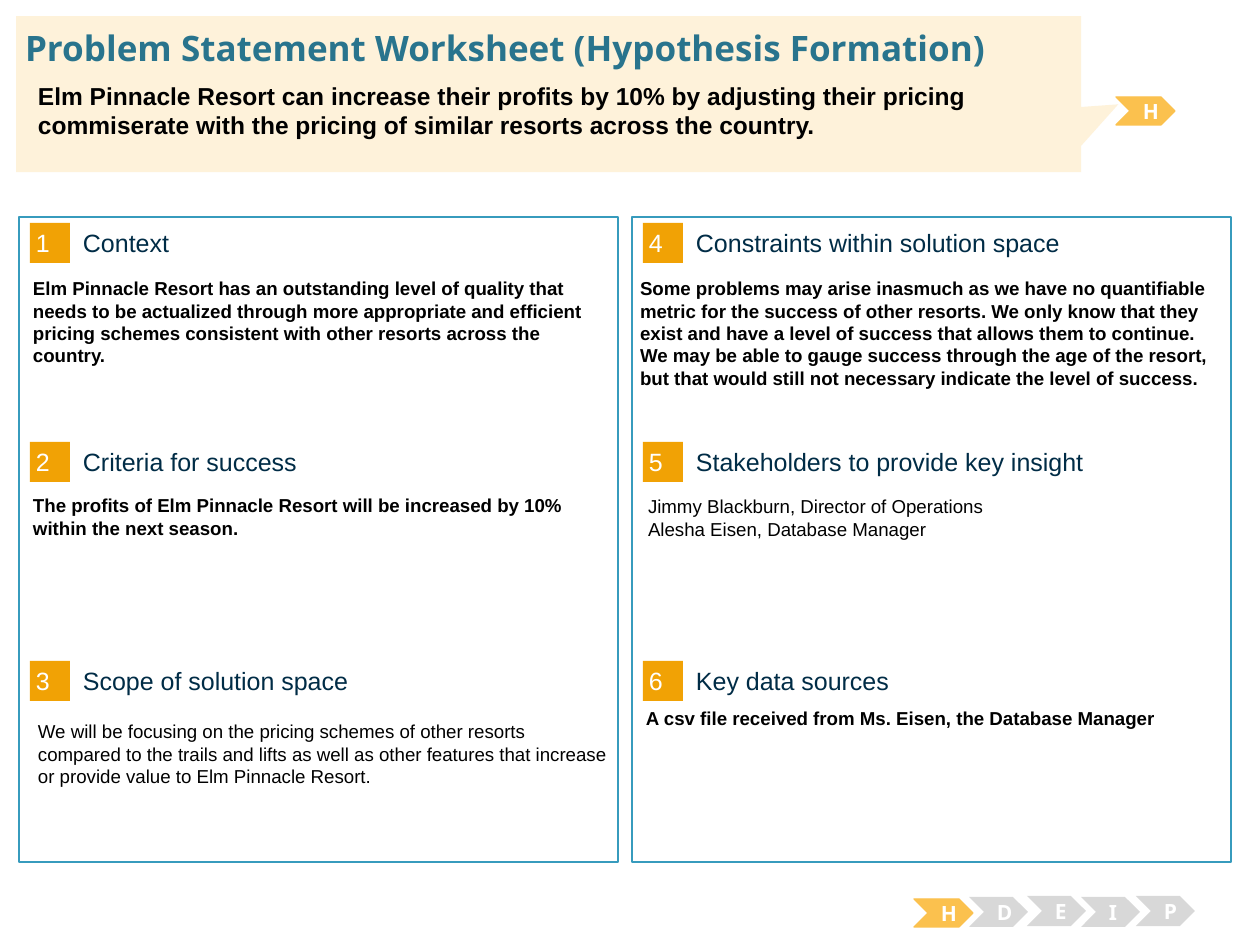
from dataclasses import dataclass
from typing import Any, Optional

from pptx import Presentation
from pptx.dml.color import RGBColor
from pptx.enum.shapes import MSO_SHAPE
from pptx.enum.text import MSO_ANCHOR, MSO_AUTO_SIZE, PP_ALIGN
from pptx.util import Emu, Pt

EMU_PER_PIXEL = 914400 / 126


@dataclass(frozen=True)
class Theme:
    """Colours, fonts and type sizes of the worksheet."""
    panel_line: str = "379BBD"
    badge: str = "F1A205"
    heading: str = "002C46"
    title: str = "29748D"
    banner: str = "FEF2DA"
    active: str = "FBC14E"
    inactive: str = "D8D8D8"
    white: str = "FFFFFF"
    black: str = "000000"
    body_font: str = "Arial"
    display_font: str = "Noto Sans"
    title_size: float = 20
    statement_size: float = 14
    heading_size: float = 14.3
    body_size: float = 10.7
    step_size: float = 12


THEME = Theme()


@dataclass(frozen=True)
class Box:
    """A rectangle in pixels."""
    left: int
    top: int
    width: int
    height: int

    def lengths(self) -> list[Emu]:
        """Return the four lengths in EMU."""
        pixels = (self.left, self.top, self.width, self.height)
        return [Emu(round(pixel * EMU_PER_PIXEL)) for pixel in pixels]


@dataclass(frozen=True)
class TextStyle:
    """How a block of text looks; insets are in pixels."""
    size: float
    color: str
    font: str = THEME.body_font
    bold: bool = False
    insets: tuple[int, int] = (13, 6)
    anchor: MSO_ANCHOR = MSO_ANCHOR.TOP
    align: PP_ALIGN = PP_ALIGN.LEFT


@dataclass(frozen=True)
class Section:
    """One numbered section and the place of its answer."""
    heading: str
    answer: str
    box: Box
    bold: bool = True


@dataclass(frozen=True)
class Step:
    """One chevron of the process tracker."""
    letter: str
    left: int
    top: int
    active: bool = False


MIDDLE = MSO_ANCHOR.MIDDLE
TITLE = TextStyle(THEME.title_size, THEME.title, THEME.display_font, True, (0, 0), MIDDLE)
STATEMENT = TextStyle(THEME.statement_size, THEME.black, bold=True)
BADGE = TextStyle(THEME.heading_size, THEME.white, insets=(6, 6), anchor=MIDDLE)
HEADING = TextStyle(THEME.heading_size, THEME.heading, insets=(0, 0), anchor=MIDDLE)
STEP = TextStyle(THEME.step_size, THEME.white, THEME.display_font, True,
                 anchor=MIDDLE, align=PP_ALIGN.CENTER)

RESORT = "Elm Pinnacle Resort"
COLUMN_PITCH, ROW_PITCH, ROWS = 613, 219, 3
SECTIONS = [
    Section("Context",
            f"{RESORT} has an outstanding level of quality that needs to be "
            "actualized through more appropriate and efficient pricing schemes consistent "
            "with other resorts across the country.", Box(20, 271, 596, 171)),
    Section("Criteria for success",
            f"The profits of {RESORT} will be increased by 10% within the next "
            "season.", Box(20, 488, 596, 194)),
    Section("Scope of solution space",
            "We will be focusing on the pricing schemes of other resorts compared to the "
            "trails and lifts as well as other features that increase or provide value to "
            f"{RESORT}.", Box(25, 714, 596, 103), bold=False),
    Section("Constraints within solution space",
            "Some problems may arise inasmuch as we have no quantifiable metric for the "
            "success of other resorts. We only know that they exist and have a level of "
            "success that allows them to continue. We may be able to gauge success through "
            "the age of the resort, but that would still not necessary indicate the level "
            "of success.", Box(627, 271, 596, 149)),
    Section("Stakeholders to provide key insight",
            "Jimmy Blackburn, Director of Operations\nAlesha Eisen, Database Manager",
            Box(635, 489, 596, 149), bold=False),
    Section("Key data sources",
            "A csv file received from Ms. Eisen, the Database Manager",
            Box(633, 701, 596, 149)),
]
STEPS = [Step("H", 914, 899, True), Step("D", 969, 897), Step("E", 1027, 896),
         Step("I", 1081, 897), Step("P", 1136, 896), Step("H", 1116, 97, True)]


def set_values(target: Any, values: dict[str, Any]) -> None:
    """Set each named attribute on the target."""
    for name, value in values.items():
        setattr(target, name, value)


def write_text(shape: Any, text: str, style: TextStyle) -> None:
    """Fill a shape with text, one paragraph a line."""
    frame = shape.text_frame
    horizontal, vertical = (Emu(round(inset * EMU_PER_PIXEL)) for inset in style.insets)
    frame.text = text
    set_values(frame, {
        "word_wrap": True, "auto_size": MSO_AUTO_SIZE.NONE,
        "vertical_anchor": style.anchor,
        "margin_left": horizontal, "margin_right": horizontal,
        "margin_top": vertical, "margin_bottom": vertical})
    for paragraph in frame.paragraphs:
        paragraph.alignment = style.align
        for run in paragraph.runs:
            set_values(run.font, {"name": style.font, "size": Pt(style.size),
                                  "bold": style.bold})
            run.font.color.rgb = RGBColor.from_string(style.color)


def add_text(slide: Any, box: Box, text: str, style: TextStyle) -> None:
    """Add a text box."""
    write_text(slide.shapes.add_textbox(*box.lengths()), text, style)


def add_block(slide: Any, kind: MSO_SHAPE, box: Box, fill: str,
              line: Optional[str] = None, line_width: float = 0.75) -> Any:
    """Add a flat preset shape."""
    shape = slide.shapes.add_shape(kind, *box.lengths())
    shape.shadow.inherit = False
    shape.fill.solid()
    shape.fill.fore_color.rgb = RGBColor.from_string(fill)
    if line:
        shape.line.color.rgb = RGBColor.from_string(line)
        shape.line.width = Pt(line_width)
    else:
        shape.line.fill.background()
    return shape


def add_section(slide: Any, index: int, section: Section) -> None:
    """Add the badge, heading and answer of a section."""
    column, row = divmod(index, ROWS)
    left, top = 30 + column * COLUMN_PITCH, 223 + row * ROW_PITCH
    badge = add_block(slide, MSO_SHAPE.RECTANGLE, Box(left, top, 40, 40), THEME.badge)
    write_text(badge, str(index + 1), BADGE)
    add_text(slide, Box(left + 53, top + 4, 495, 31), section.heading, HEADING)
    add_text(slide, section.box, section.answer,
             TextStyle(THEME.body_size, THEME.black, bold=section.bold))


def add_step(slide: Any, step: Step) -> None:
    """Add a lettered chevron."""
    fill, line, height = ((THEME.active, THEME.active, 28) if step.active
                          else (THEME.inactive, None, 30))
    chevron = add_block(slide, MSO_SHAPE.CHEVRON, Box(step.left, step.top, 59, height),
                        fill, line)
    write_text(chevron, step.letter, STEP)


def add_banner(slide: Any) -> None:
    """Add the callout with the title and the problem statement."""
    callout = add_block(slide, MSO_SHAPE.RECTANGULAR_CALLOUT, Box(16, 16, 1065, 156),
                        THEME.banner)
    callout.adjustments[0], callout.adjustments[1] = 0.535, 0.066
    title = slide.shapes.title
    callout.element.addnext(title.element)
    set_values(title, dict(zip(("left", "top", "width", "height"),
                               Box(25, 26, 1212, 43).lengths())))
    write_text(title, "Problem Statement Worksheet (Hypothesis Formation)", TITLE)
    add_text(slide, Box(25, 75, 1056, 68),
             f"{RESORT} can increase their profits by 10% by adjusting their "
             "pricing commiserate with the pricing of similar resorts across the country.",
             STATEMENT)


def main() -> None:
    """Build and save the worksheet."""
    presentation = Presentation()
    _, _, width, height = Box(0, 0, 1260, 945).lengths()
    set_values(presentation, {"slide_width": width, "slide_height": height})
    slide = presentation.slides.add_slide(presentation.slide_layouts.get_by_name("Title Only"))
    for column in range(2):
        add_block(slide, MSO_SHAPE.RECTANGLE, Box(19 + column * COLUMN_PITCH, 217, 599, 645),
                  THEME.white, THEME.panel_line, 1.5)
    for index, section in enumerate(SECTIONS):
        add_section(slide, index, section)
    for step in STEPS:
        add_step(slide, step)
    add_banner(slide)
    presentation.save("out.pptx")


main()
